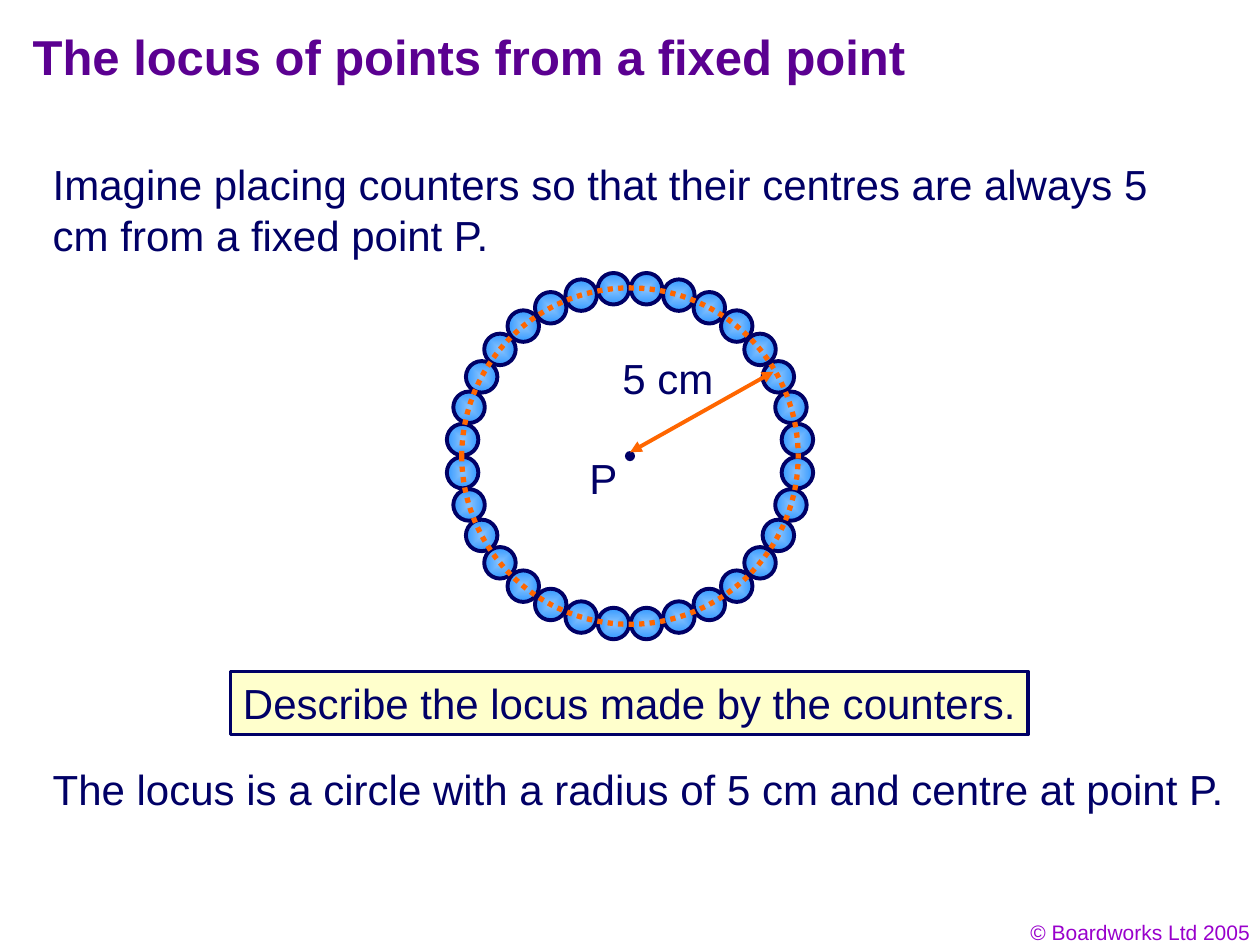
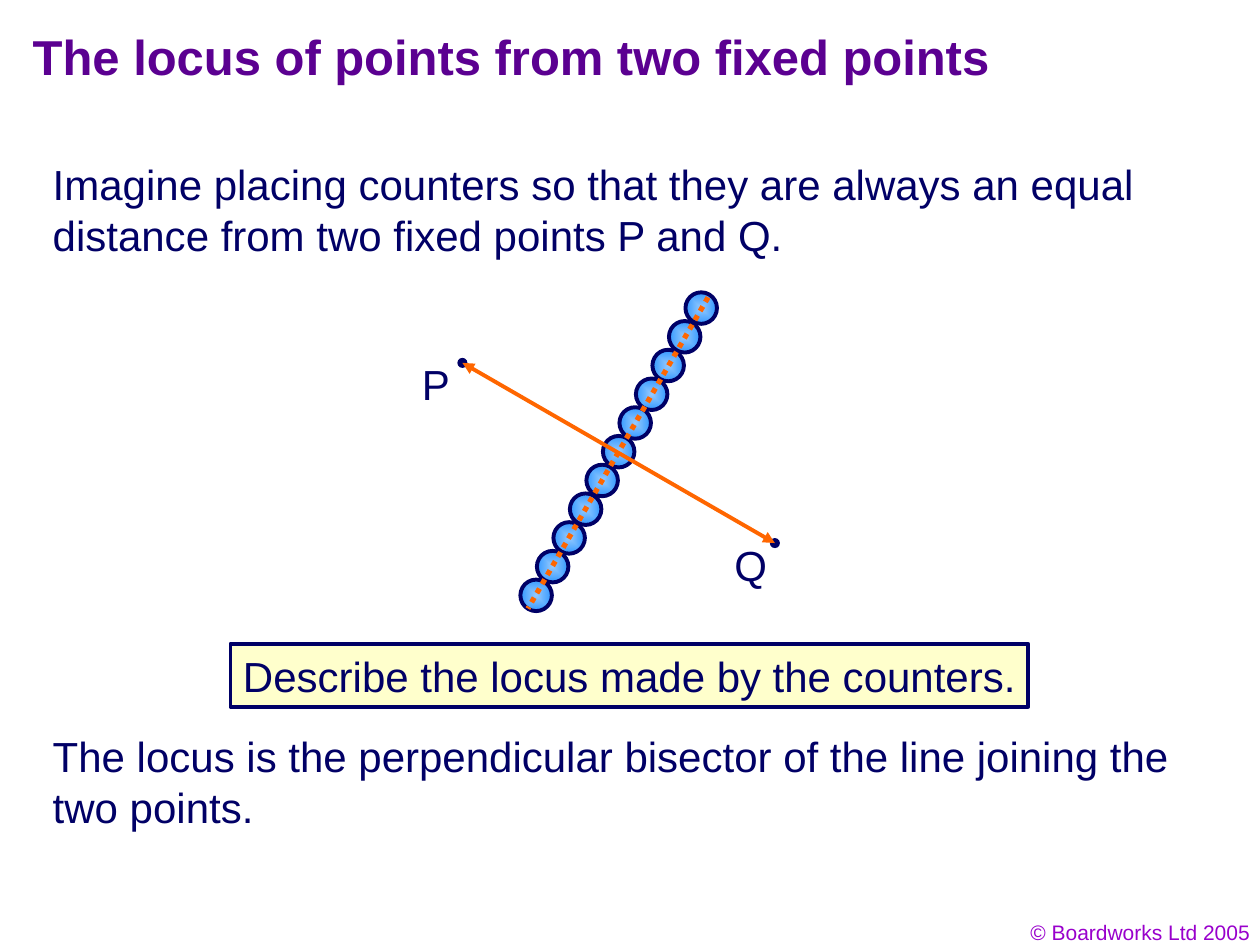
from math import cos, pi, sin

from lxml.etree import SubElement
from pptx import Presentation
from pptx.dml.color import RGBColor
from pptx.enum.dml import MSO_LINE
from pptx.enum.shapes import MSO_CONNECTOR, MSO_SHAPE
from pptx.enum.text import MSO_ANCHOR, PP_ALIGN
from pptx.oxml.ns import qn
from pptx.util import Inches, Pt

COLORS = {
    "title": "5B0091",
    "text": "010066",
    "navy": "000066",
    "footer": "9900CC",
    "prompt": "FFFFCC",
    "path": "FF6600",
    "edge": "3399FF",
}
FONT = "Arial"
SIZE = 0.25
DOT = 0.08


def rgb(name):
    return RGBColor.from_string(COLORS.get(name, name))


def write(shape, text, size=24, color="text", bold=False,
          align=PP_ALIGN.LEFT, anchor=MSO_ANCHOR.TOP, wrap=True):
    frame = shape.text_frame
    frame.text = text
    frame.word_wrap = wrap
    frame.vertical_anchor = anchor
    frame.margin_left = frame.margin_right = Inches(0.1)
    frame.margin_top = frame.margin_bottom = Inches(0.05)
    para = frame.paragraphs[0]
    para.alignment = align
    font = para.font
    font.name, font.size, font.bold = FONT, Pt(size), bold
    font.color.rgb = rgb(color)


def add_text(slide, text, left, top, width, height=0.5, **style):
    box = slide.shapes.add_textbox(
        Inches(left), Inches(top), Inches(width), Inches(height))
    write(box, text, **style)


def add_shape(slide, kind, left, top, width, height):
    shape = slide.shapes.add_shape(
        kind, Inches(left), Inches(top), Inches(width), Inches(height))
    shape.shadow.inherit = False
    return shape


def add_round(slide, x, y, size):
    """Add a circle centred on x, y."""
    return add_shape(slide, MSO_SHAPE.OVAL, x - size / 2, y - size / 2,
                     size, size)


def set_line(line, color, width, dash=None):
    line.color.rgb = rgb(color)
    line.width = Pt(width)
    if dash:
        line.dash_style = dash


def add_counter(slide, x, y, core):
    """Add a counter shaded from its core colour out to its edge."""
    disc = add_round(slide, x, y, SIZE)
    set_line(disc.line, "navy", 2.25)
    disc.fill.gradient()
    for stop, color in zip(disc.fill.gradient_stops, (core, "edge")):
        stop.color.rgb = rgb(color)
    grad = disc.element.spPr.find(qn("a:gradFill"))
    grad.remove(grad.find(qn("a:lin")))
    shade = SubElement(grad, qn("a:path"), path="rect")
    SubElement(shade, qn("a:fillToRect"),
               {side: "50000" for side in "ltrb"})


def add_point(slide, name, x, y, width=0.42):
    """Add a fixed point with its letter below and to the left."""
    dot = add_round(slide, x, y, DOT)
    dot.fill.solid()
    dot.fill.fore_color.rgb = rgb("navy")
    dot.line.fill.background()
    add_text(slide, name, x - 0.42, y - 0.08, width, wrap=False)


def add_line(slide, start, end, width=2.25, dash=None, arrows=False):
    line = slide.shapes.add_connector(
        MSO_CONNECTOR.STRAIGHT, *(Inches(v) for v in (*start, *end)))
    set_line(line.line, "path", width, dash)
    if arrows:
        for tag in ("a:headEnd", "a:tailEnd"):
            SubElement(line.line._get_or_add_ln(), qn(tag), type="triangle")
    SubElement(line.element.spPr, qn("a:effectLst"))


def add_prompt(slide, top):
    box = add_shape(slide, MSO_SHAPE.RECTANGLE, 1.83, top, 6.33, 0.5)
    box.fill.solid()
    box.fill.fore_color.rgb = rgb("prompt")
    set_line(box.line, "navy", 2.25)
    write(box, "Describe the locus made by the counters.",
          align=PP_ALIGN.CENTER, wrap=False)


def add_slide(prs, heading, intro):
    slide = prs.slides.add_slide(prs.slide_layouts[5])
    title = slide.shapes.title
    title.left, title.top = Inches(0.16), Inches(0.16)
    title.width, title.height = Inches(8.04), Inches(0.69)
    write(title, heading, size=28, color="title", bold=True)
    add_text(slide, "© Boardworks Ltd 2005", 7.69, 7.25, 2.33, 0.3,
             size=12, color="footer", align=PP_ALIGN.RIGHT)
    add_text(slide, intro, 0.32, 1.21, 9.35, 0.9)
    return slide


def add_circle(prs):
    slide = add_slide(
        prs, "The locus of points from a fixed point",
        "Imagine placing counters so that their centres are always 5 cm "
        "from a fixed point P.")
    x, y, radius, count = 5, 3.62, 1.335, 32
    add_point(slide, "P", x, y)
    add_prompt(slide, 5.33)
    add_text(slide, "The locus is a circle with a radius of 5 cm and "
             "centre at point P.", 0.32, 6.01, 9.54, wrap=False)
    for i in range(count):
        angle = 2 * pi * (i + 0.5) / count
        add_counter(slide, x + radius * sin(angle),
                    y - radius * cos(angle), "89C3FE")
    ring = add_round(slide, x, y, 2 * radius)
    ring.fill.background()
    set_line(ring.line, "path", 3, MSO_LINE.ROUND_DOT)
    add_line(slide, (x, 3.59), (6.14, 2.95), arrows=True)
    add_text(slide, "5 cm", 4.84, 2.75, 0.92, color="navy", wrap=False)


def add_bisector(prs):
    slide = add_slide(
        prs, "The locus of points from two fixed points",
        "Imagine placing counters so that they are always an equal "
        "distance from two fixed points P and Q.")
    p, q = (3.67, 2.88), (6.15, 4.31)
    add_point(slide, "P", *p)
    add_text(slide, "The locus is the perpendicular bisector of the line "
             "joining the two points.", 0.32, 5.75, 9.52, 0.9)
    add_point(slide, "Q", *q, width=0.46)
    for i in range(11):
        add_counter(slide, 4.255 + 0.131 * i, 4.725 - 0.228 * i, "95C9FE")
    add_line(slide, (5.62, 2.36), (4.19, 4.83), 3, MSO_LINE.ROUND_DOT)
    add_line(slide, p, q, arrows=True)
    add_prompt(slide, 5.11)


def main():
    prs = Presentation()
    prs.slide_width, prs.slide_height = Inches(10), Inches(7.5)
    add_circle(prs)
    add_bisector(prs)
    prs.save("out.pptx")


if __name__ == "__main__":
    main()
